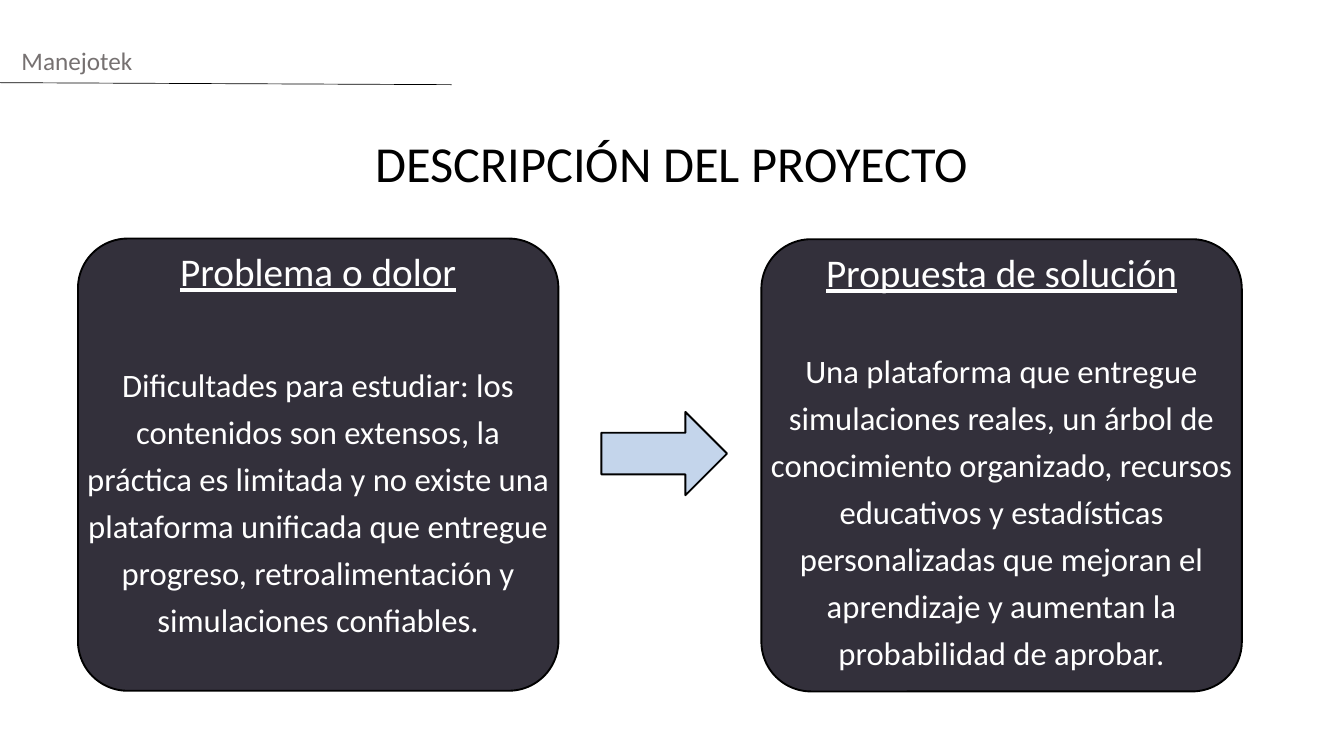
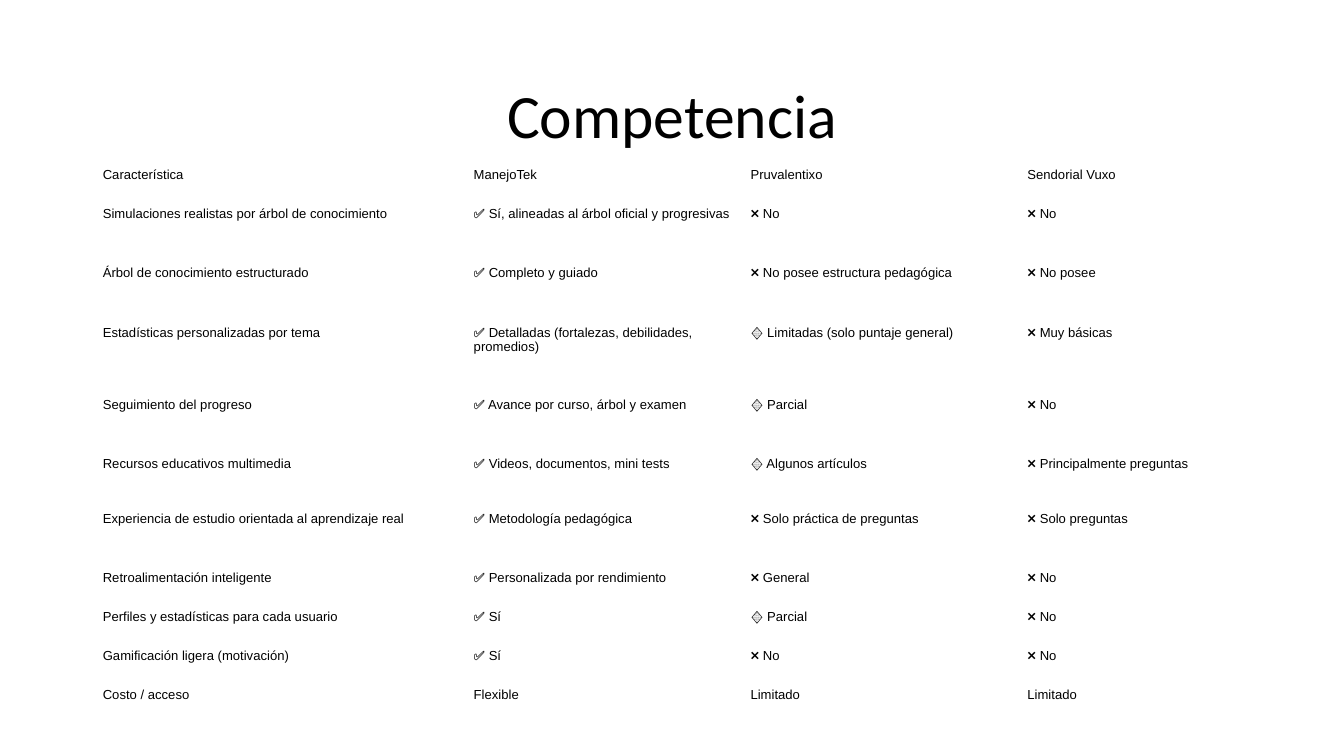
from dataclasses import dataclass

from lxml import etree
from pptx import Presentation
from pptx.dml.color import RGBColor as Rgb
from pptx.enum.shapes import MSO_CONNECTOR as Conn, MSO_SHAPE as Kind
from pptx.enum.text import MSO_ANCHOR as Anchor, MSO_AUTO_SIZE as Fit, PP_ALIGN as Align
from pptx.oxml.ns import qn
from pptx.util import Inches, Pt

# Shared look
HUES = {"ink": "000000", "white": "FFFFFF", "gray": "767171",
        "panel": "33303B", "arrow": "C4D5EB"}
SANS = "Calibri"
LEAD = 1.2


@dataclass
class Box:
    left: float
    top: float
    width: float
    height: float

    def emu(self) -> tuple:
        return tuple(Inches(n) for n in (self.left, self.top, self.width, self.height))


@dataclass
class Panel:
    left: float
    top: float
    head: str
    body: str
    gap: int


PANELS = [
    Panel(1.16, 3.55, "Problema o dolor",
          "Dificultades para estudiar: los contenidos son extensos, la práctica es "
          "limitada y no existe una plataforma unificada que entregue progreso, "
          "retroalimentación y simulaciones confiables.", 67),
    Panel(11.33, 3.56, "Propuesta de solución",
          "Una plataforma que entregue simulaciones reales, un árbol de conocimiento "
          "organizado, recursos educativos y estadísticas personalizadas que mejoran "
          "el aprendizaje y aumentan la probabilidad de aprobar.", 51),
]

# Comparison table
YES, NO, PART = "✅ ", "❌ ", "🔶 "
COLS = [5.52, 4.12, 4.12, 4.12]
ROWS = [
    (0.58, "Característica", "ManejoTek", "Pruvalentixo", "Sendorial Vuxo"),
    (0.88, "Simulaciones realistas por árbol de conocimiento",
     YES + "Sí, alineadas al árbol oficial y progresivas", NO + "No", NO + "No"),
    (0.88, "Árbol de conocimiento estructurado", YES + "Completo y guiado",
     NO + "No posee estructura pedagógica", NO + "No posee"),
    (1.08, "Estadísticas personalizadas por tema",
     YES + "Detalladas (fortalezas, debilidades, promedios)",
     PART + "Limitadas (solo puntaje general)", NO + "Muy básicas"),
    (0.88, "Seguimiento del progreso", YES + "Avance por curso, árbol y examen",
     PART + "Parcial", NO + "No"),
    (0.81, "Recursos educativos multimedia", YES + "Videos, documentos, mini tests",
     PART + "Algunos artículos", NO + "Principalmente preguntas"),
    (0.88, "Experiencia de estudio orientada al aprendizaje real",
     YES + "Metodología pedagógica", NO + "Solo práctica de preguntas",
     NO + "Solo preguntas"),
    (0.58, "Retroalimentación inteligente", YES + "Personalizada por rendimiento",
     NO + "General", NO + "No"),
    (0.58, "Perfiles y estadísticas para cada usuario", YES + "Sí",
     PART + "Parcial", NO + "No"),
    (0.58, "Gamificación ligera (motivación)", YES + "Sí", NO + "No", NO + "No"),
    (0.58, "Costo / acceso", "Flexible", "Limitado", "Limitado"),
]


# Text helpers
def write(para, text: str, size: int, hue: str, font: str = SANS,
          align=Align.CENTER, lead: float = LEAD) -> None:
    para.text = text
    para.alignment = align
    para.line_spacing = lead
    face = para.runs[0].font
    face.name, face.size = font, Pt(size)
    face.color.rgb = Rgb.from_string(HUES[hue])


def set_frame(frame, pad: float = 0) -> None:
    frame.word_wrap = True
    frame.auto_size = Fit.NONE
    frame.vertical_anchor = Anchor.TOP
    set_pad(frame, pad)


def set_pad(item, pad: float) -> None:
    item.margin_left = item.margin_right = Inches(pad)
    item.margin_top = item.margin_bottom = Inches(pad)


def add_text(slide, box: Box, pad: float = 0):
    frame = slide.shapes.add_textbox(*box.emu()).text_frame
    set_frame(frame, pad)
    return frame


def add_page(deck, title: str, top: float, height: float, size: int):
    slide = deck.slides.add_slide(deck.slide_layouts[5])
    head = slide.shapes.title
    head.left, head.top, head.width, head.height = Box(0.1, top, 19.8, height).emu()
    set_frame(head.text_frame)
    write(head.text_frame.paragraphs[0], title, size, "ink")
    return slide


# Shape helpers
def add_form(slide, kind, box: Box, hue: str):
    form = slide.shapes.add_shape(kind, *box.emu())
    form.shadow.inherit = False
    form.fill.solid()
    form.fill.fore_color.rgb = Rgb.from_string(HUES[hue])
    form.line.color.rgb = Rgb.from_string(HUES["ink"])
    form.line.width = Pt(2)
    return form


def add_rule(slide) -> None:
    ends = (Inches(n) for n in (-0.01, 1.23, 6.72, 1.26))
    rule = slide.shapes.add_connector(Conn.STRAIGHT, *ends)
    rule.line.color.rgb = Rgb.from_string(HUES["ink"])
    rule.line.width = Pt(0.75)
    etree.SubElement(rule._element.spPr, qn("a:effectLst"))


def add_panel(slide, panel: Panel) -> None:
    card = add_form(slide, Kind.ROUNDED_RECTANGLE,
                    Box(panel.left, panel.top, 7.15, 6.73), "panel")
    card.adjustments[0] = 0.11
    frame = add_text(slide, Box(panel.left, panel.top - 0.07, 7.15, 6.8), 0.06)
    head, body = frame.paragraphs[0], frame.add_paragraph()
    write(head, panel.head, 42, "white")
    head.runs[0].font.underline = True
    write(body, panel.body, 35, "white")
    body.space_before = Pt(panel.gap)


def add_grid(slide) -> None:
    box = Box(1.43, 2.4, sum(COLS), sum(row[0] for row in ROWS))
    grid = slide.shapes.add_table(len(ROWS), len(COLS), *box.emu()).table
    grid.first_row = grid.horz_banding = False
    for col, width in zip(grid.columns, COLS):
        col.width = Inches(width)
    for line, (height, *texts) in zip(grid.rows, ROWS):
        line.height = Inches(height)
        for cell, text in zip(line.cells, texts):
            cell.fill.background()
            set_pad(cell, 0.1)
            write(cell.text_frame.paragraphs[0], text, 14, "ink", "Arial",
                  Align.LEFT, 1.0)


# Slides
def add_project(deck) -> None:
    slide = add_page(deck, "DESCRIPCIÓN DEL PROYECTO", 1.78, 1.09, 54)
    tag = add_text(slide, Box(0.32, 0.59, 19.8, 0.51))
    write(tag.paragraphs[0], "Manejotek", 27, "gray", align=Align.LEFT)
    add_rule(slide)
    for panel in PANELS:
        add_panel(slide, panel)
    add_form(slide, Kind.RIGHT_ARROW, Box(8.95, 6.13, 1.87, 1.24), "arrow")


def add_rivals(deck) -> None:
    slide = add_page(deck, "Competencia", 0.93, 1.11, 66)
    add_grid(slide)


def main() -> None:
    deck = Presentation()
    deck.slide_width, deck.slide_height = Inches(20), Inches(11.25)
    add_project(deck)
    add_rivals(deck)
    deck.save("out.pptx")


if __name__ == "__main__":
    main()
